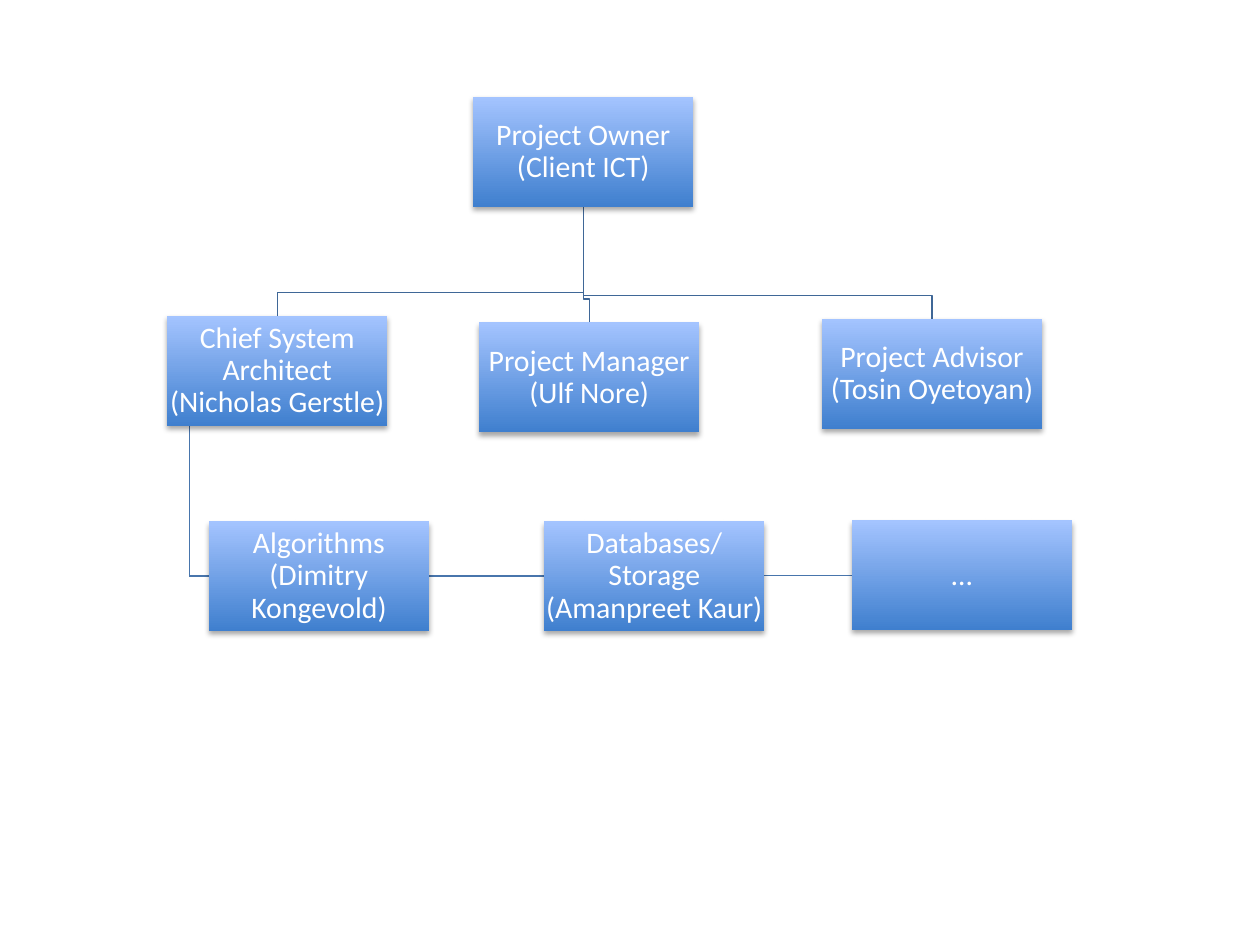
from lxml import etree
from pptx import Presentation
from pptx.dml.color import RGBColor
from pptx.enum.shapes import MSO_SHAPE
from pptx.enum.text import MSO_ANCHOR, PP_ALIGN
from pptx.oxml.ns import qn
from pptx.util import Cm, Pt

RECTANGLE = MSO_SHAPE.RECTANGLE
MIDDLE = MSO_ANCHOR.MIDDLE
CENTER = PP_ALIGN.CENTER

COLORS = {
    "box_bottom": "3F7FCE",
    "box_top": "A4C4FF",
    "text": "FFFFFF",
    "shadow": "000000",
    "role_line": "3F6797",
    "team_line": "4875AC",
}
BOX_WIDTH, BOX_HEIGHT = 4.44, 2.22
BEND_GAP = 0.47  # from the bend of a line down to the box below it
INSET = Cm(0.03)

# name: (left, top, text), in centimetres
BOXES = {
    "owner": (9.54, 1.96, "Project Owner (Client ICT)"),
    "manager": (9.66, 6.5, "Project Manager (Ulf Nore)"),
    "advisor": (16.57, 6.43, "Project Advisor (Tosin Oyetoyan)"),
    "architect": (3.37, 6.37, "Chief System Architect (Nicholas Gerstle)"),
    "algorithms": (4.21, 10.51, "Algorithms (Dimitry Kongevold)"),
    "databases": (10.97, 10.51, "Databases/Storage (Amanpreet Kaur)"),
    "others": (17.17, 10.49, "…"),
}
ROLES = ["architect", "advisor", "manager"]
TEAMS = ["others", "databases", "algorithms"]


def rgb(name):
    return RGBColor.from_string(COLORS[name])


def add_polyline(slide, points, color):
    start, *others = [(Cm(x), Cm(y)) for x, y in points]
    builder = slide.shapes.build_freeform(*start)
    builder.add_line_segments(others, close=False)
    shape = builder.convert_to_shape()
    shape.shadow.inherit = False
    shape.fill.background()
    shape.line.color.rgb = rgb(color)
    shape.line.width = Pt(0.75)


def add_role_line(slide, parent, child):
    """Go down from the parent, across, and down to the child's top."""
    parent_left, parent_top, _ = BOXES[parent]
    child_left, child_top, _ = BOXES[child]
    start_x = parent_left + BOX_WIDTH / 2
    end_x = child_left + BOX_WIDTH / 2
    bend_y = child_top - BEND_GAP
    points = [(start_x, parent_top + BOX_HEIGHT), (start_x, bend_y),
              (end_x, bend_y), (end_x, child_top)]
    add_polyline(slide, points, "role_line")


def add_team_line(slide, parent, child):
    """Go down near the parent's left edge and across to the child's side."""
    parent_left, parent_top, _ = BOXES[parent]
    child_left, child_top, _ = BOXES[child]
    x = parent_left + BOX_WIDTH / 10
    middle_y = child_top + BOX_HEIGHT / 2
    points = [(x, parent_top + BOX_HEIGHT), (x, middle_y), (child_left, middle_y)]
    add_polyline(slide, points, "team_line")


def add_drop_shadow(shape):
    shape.shadow.inherit = False
    effects = shape.element.spPr.find(qn("a:effectLst"))
    shadow = etree.SubElement(effects, qn("a:outerShdw"), blurRad=str(Pt(3.1)),
                              dist=str(Pt(1.8)), dir="5400000", rotWithShape="0")
    color = etree.SubElement(shadow, qn("a:srgbClr"), val=COLORS["shadow"])
    etree.SubElement(color, qn("a:alpha"), val="35000")


def add_box(slide, left, top, text):
    shape = slide.shapes.add_shape(RECTANGLE, Cm(left), Cm(top),
                                   Cm(BOX_WIDTH), Cm(BOX_HEIGHT))
    shape.fill.gradient()
    shape.fill.gradient_angle = 90
    for stop, color in zip(shape.fill.gradient_stops, ("box_bottom", "box_top")):
        stop.color.rgb = rgb(color)
    shape.line.fill.background()
    add_drop_shadow(shape)

    frame = shape.text_frame
    frame.word_wrap = True
    frame.vertical_anchor = MIDDLE
    frame.margin_left = frame.margin_right = INSET
    frame.margin_top = frame.margin_bottom = INSET
    paragraph = frame.paragraphs[0]
    paragraph.text = text
    paragraph.alignment = CENTER
    paragraph.line_spacing = 0.9
    paragraph.font.name = "Calibri"
    paragraph.font.size = Pt(17)
    paragraph.font.color.rgb = rgb("text")


def main():
    presentation = Presentation()
    presentation.slide_width = Cm(25.4)
    presentation.slide_height = Cm(19.05)
    blank_layout = presentation.slide_layouts.get_by_name("Blank")
    slide = presentation.slides.add_slide(blank_layout)

    for team in TEAMS:
        add_team_line(slide, "architect", team)
    for role in ROLES:
        add_role_line(slide, "owner", role)
    for left, top, text in BOXES.values():
        add_box(slide, left, top, text)

    presentation.save("out.pptx")


if __name__ == "__main__":
    main()
